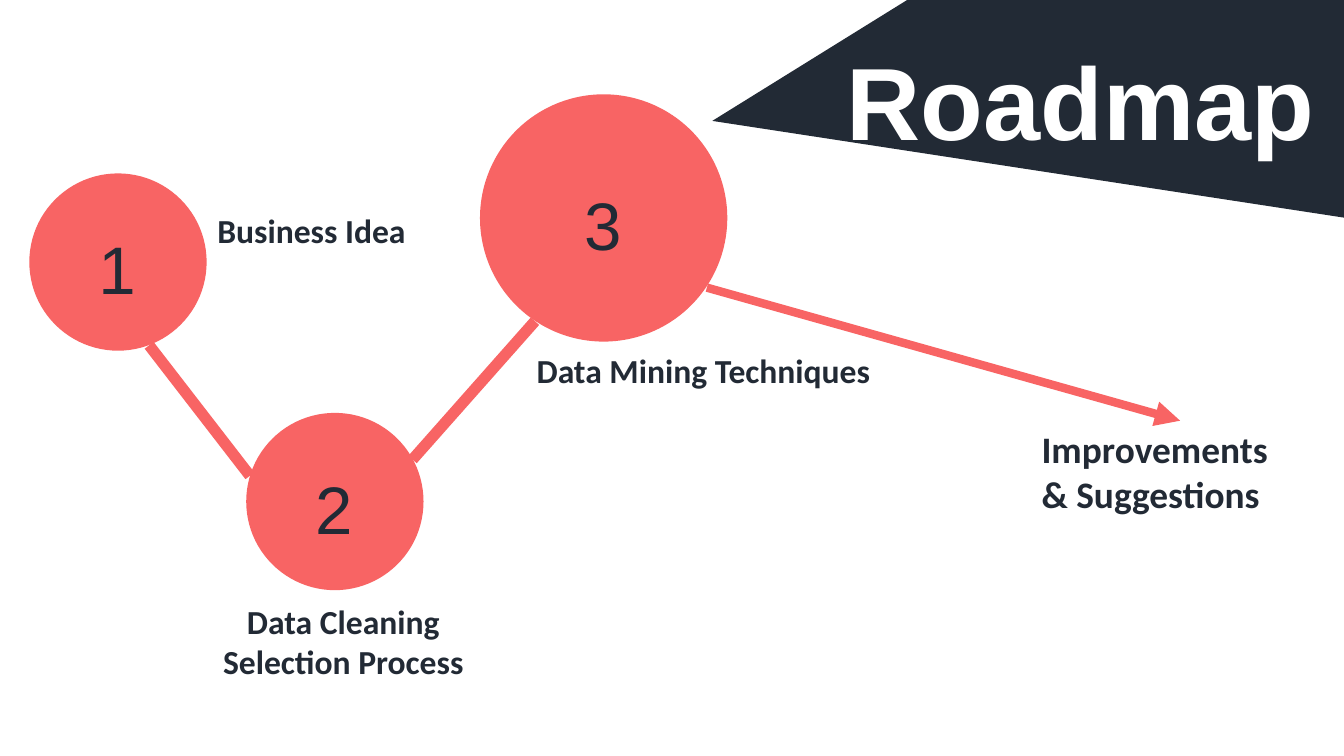
from lxml import etree
from pptx import Presentation
from pptx.dml.color import RGBColor
from pptx.enum.shapes import MSO_CONNECTOR, MSO_SHAPE
from pptx.enum.text import MSO_ANCHOR, MSO_AUTO_SIZE, PP_ALIGN
from pptx.oxml.ns import qn
from pptx.util import Pt

DARK, CORAL, WHITE = "222A35", "F86464", "FFFFFF"


def color(value):
    return RGBColor.from_string(value)


def write_text(shape, text, size, font, ink=DARK, bold=True,
               align=PP_ALIGN.LEFT, margins=(5, 3)):
    """Fill a text shape; margins are the side and top insets."""
    frame = shape.text_frame
    frame.word_wrap = True
    frame.auto_size = MSO_AUTO_SIZE.NONE
    frame.vertical_anchor = MSO_ANCHOR.TOP
    side, top = margins
    frame.margin_left = frame.margin_right = Pt(side)
    frame.margin_top, frame.margin_bottom = Pt(top), Pt(3)
    frame.text = text
    for paragraph in frame.paragraphs:
        paragraph.alignment = align
        paragraph.font.size = Pt(size)
        paragraph.font.name = font
        paragraph.font.bold = bold
        paragraph.font.color.rgb = color(ink)


def add_label(slide, box, text, size, **style):
    shape = slide.shapes.add_textbox(*map(Pt, box))
    write_text(shape, text, size, style.pop("font", "Calibri"), **style)


def add_header(slide, box):
    """Dark slanted panel in the given box, with the title on it."""
    left, top, width, height = box
    corners = [(left, top + 64.8), (left + 104.4, top),
               (left + width, top), (left + width, top + height)]
    builder = slide.shapes.build_freeform(*map(Pt, corners[0]), scale=1.0)
    builder.add_line_segments([(Pt(x), Pt(y)) for x, y in corners[1:]])
    panel = builder.convert_to_shape()
    panel.shadow.inherit = False
    panel.fill.solid()
    panel.fill.fore_color.rgb = color(DARK)
    panel.line.fill.background()

    title = slide.shapes.title
    title.left, title.top = Pt(left + 67), Pt(top + 13)
    title.width, title.height = Pt(265.7), Pt(92.9)
    write_text(title, "Roadmap", 55, "Arial", ink=WHITE, margins=(5, 7.5))
    panel._element.addnext(title._element)  # title in front of the panel


def add_link(slide, start, end, width, arrow=False):
    link = slide.shapes.add_connector(
        MSO_CONNECTOR.STRAIGHT, *map(Pt, start + end))
    link.line.color.rgb = color(CORAL)
    link.line.width = Pt(width)
    if arrow:
        etree.SubElement(link.line._get_or_add_ln(), qn("a:tailEnd"),
                         type="triangle")
    etree.SubElement(link._element.spPr, qn("a:effectLst"))


def add_step(slide, center, diameter, number):
    """Circle around a center point, with its number in the middle."""
    x, y = center
    circle = slide.shapes.add_shape(
        MSO_SHAPE.OVAL, Pt(x - diameter / 2), Pt(y - diameter / 2),
        Pt(diameter), Pt(diameter))
    circle.shadow.inherit = False
    circle.fill.solid()
    circle.fill.fore_color.rgb = color(CORAL)
    circle.line.fill.background()
    add_label(slide, (x - 15.5, y - 24.5, 31, 49), str(number), 36,
              font="Arial", bold=False, margins=(5, 6))


def add_roadmap(slide):
    # Links lie behind the circles
    add_link(slide, (286.6, 172.1), (221, 246.2), 6)
    add_link(slide, (133.9, 254.9), (79.9, 185), 6)
    steps = [((63.2, 140.4), 95), ((179.4, 268.7), 95), ((323.4, 116.8), 132.5)]
    for number, (center, diameter) in enumerate(steps, 1):
        add_step(slide, center, diameter, number)
    add_link(slide, (378.7, 154.1), (632.2, 225.4), 4.5, arrow=True)

    # Step names
    add_label(slide, (109.4, 105.1, 128.9, 41.8), "Business Idea", 18,
              margins=(7.2, 7.2))
    add_label(slide, (112.3, 319, 143.3, 41.8),
              "Data Cleaning\vSelection Process", 18, align=PP_ALIGN.CENTER)
    add_label(slide, (277.2, 184.3, 199.4, 49), "Data Mining Techniques", 18,
              align=PP_ALIGN.CENTER)
    add_label(slide, (553, 225.4, 158.4, 56.2),
              "Improvements\n& Suggestions", 20)


def main():
    presentation = Presentation()
    presentation.slide_width, presentation.slide_height = Pt(720), Pt(405)
    slide = presentation.slides.add_slide(presentation.slide_layouts[5])
    add_header(slide, (381.6, 0, 338.4, 116.6))
    add_roadmap(slide)
    presentation.save("out.pptx")


if __name__ == "__main__":
    main()
